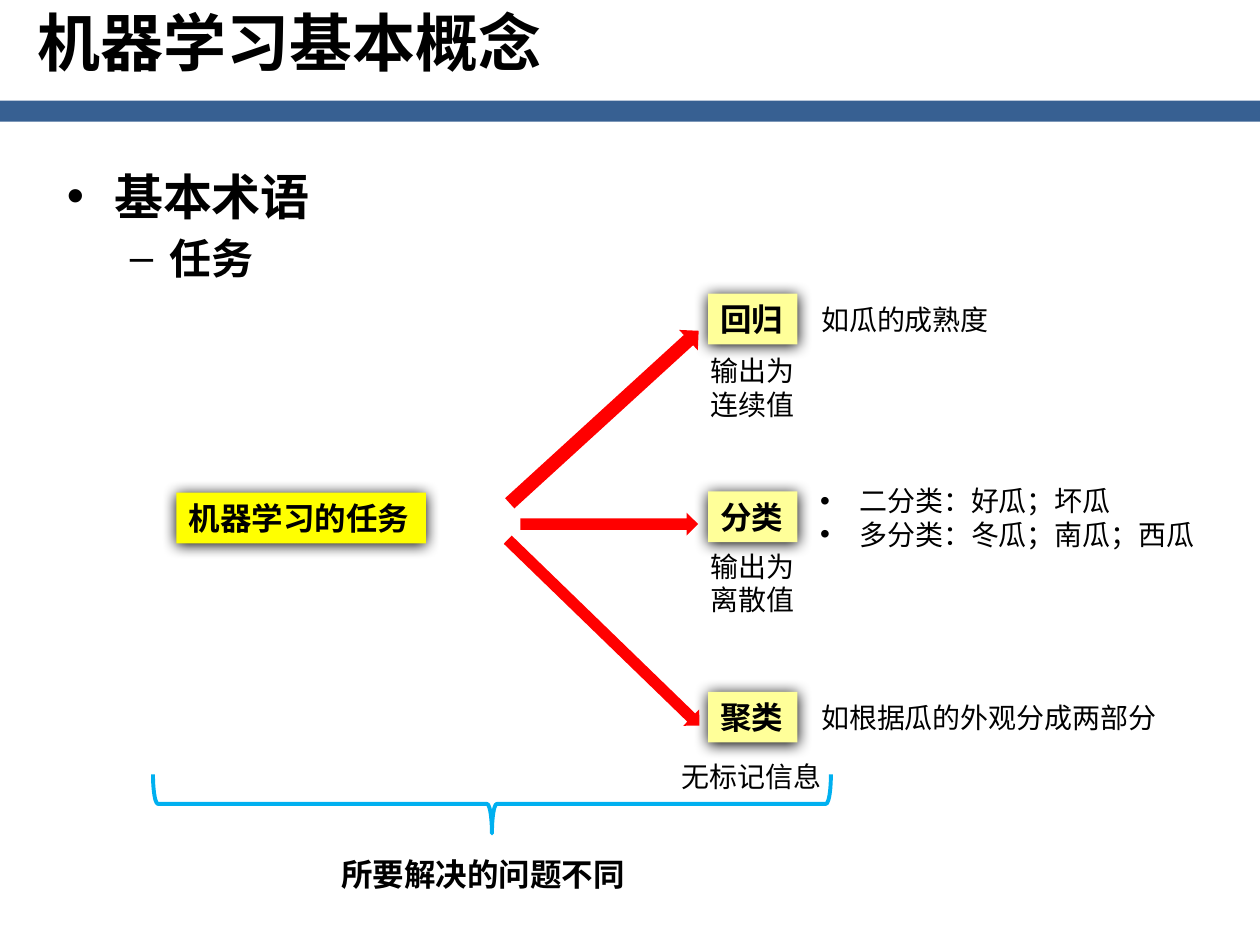
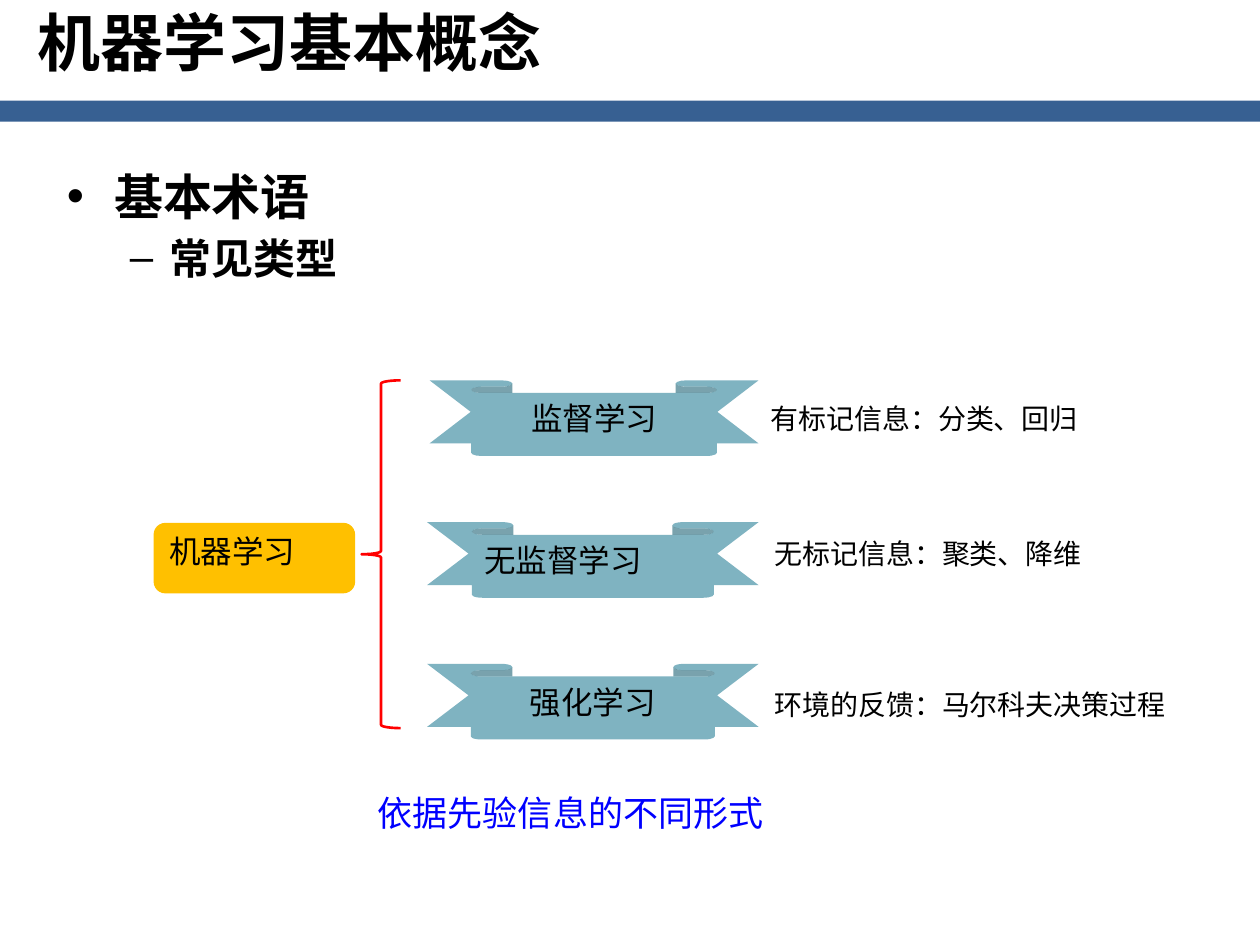
from lxml.etree import SubElement
from pptx import Presentation
from pptx.dml.color import RGBColor
from pptx.enum.shapes import MSO_SHAPE as Shape
from pptx.enum.text import MSO_ANCHOR as Anchor, MSO_AUTO_SIZE as AutoSize, PP_ALIGN as Align
from pptx.oxml.ns import qn
from pptx.util import Pt

# Shared colours and fonts
BLACK = RGBColor(0x00, 0x00, 0x00)
BAND_BLUE = RGBColor(0x37, 0x60, 0x92)
YELLOW = RGBColor(0xFF, 0xFF, 0x00)
PALE_YELLOW = RGBColor(0xFF, 0xFF, 0x99)
RED = RGBColor(0xFF, 0x00, 0x00)
SKY = RGBColor(0x00, 0xB0, 0xF0)
AMBER = RGBColor(0xFF, 0xC0, 0x00)
TEAL = RGBColor(0x31, 0x85, 0x9C)
BLUE = RGBColor(0x00, 0x00, 0xFF)
HEAD_FONT = "Noto Sans CJK SC"
TEXT_FONT = "Calibri"

BULLET_INDENT = Pt(22.5)
LABEL_HEIGHT = 29
LINE_HEIGHT = 26.6
PAIR_HEIGHT = 46


def place(item, left, top, width, height):
    item.left, item.top = Pt(left), Pt(top)
    item.width, item.height = Pt(width), Pt(height)


def write(frame, text, size=16, font=TEXT_FONT, color=BLACK, bold=False,
          align=Align.LEFT, bullet=None):
    """Fill a text frame, one paragraph for each line of text."""
    frame.word_wrap = True
    frame.auto_size = AutoSize.NONE
    frame.vertical_anchor = Anchor.TOP
    for number, line in enumerate(text.split("\n")):
        paragraph = frame.add_paragraph() if number else frame.paragraphs[0]
        paragraph.alignment = align
        if bullet:
            add_bullet(paragraph, bullet)
        run = paragraph.add_run()
        run.text = line
        style = run.font
        style.size, style.bold, style.name = Pt(size), bold, font
        style.color.rgb = color
        SubElement(run.font._element, qn("a:ea"), typeface=font)


def add_bullet(paragraph, char):
    properties = paragraph._p.get_or_add_pPr()
    properties.set("marL", str(BULLET_INDENT))
    properties.set("indent", str(-BULLET_INDENT))
    SubElement(properties, qn("a:buFont"), typeface="Arial")
    SubElement(properties, qn("a:buChar"), char=char)


def add_label(slide, text, left, top, width, height=LINE_HEIGHT, **style):
    label = slide.shapes.add_textbox(Pt(left), Pt(top), Pt(width), Pt(height))
    write(label.text_frame, text, **style)


def add_block(slide, kind, left, top, width, height, fill, rotation=0):
    block = slide.shapes.add_shape(kind, Pt(left), Pt(top), Pt(width), Pt(height))
    block.shadow.inherit = False
    block.fill.solid()
    block.fill.fore_color.rgb = fill
    block.line.fill.background()
    block.rotation = rotation
    return block


def add_glowing_box(slide, text, left, top, width, fill):
    box = add_block(slide, Shape.RECTANGLE, left, top, width, LABEL_HEIGHT, fill)
    effects = box.element.spPr.find(qn("a:effectLst"))
    shadow = SubElement(effects, qn("a:outerShdw"), blurRad=str(Pt(8.5)),
                        dist=str(Pt(1)), dir="5400000", rotWithShape="0")
    SubElement(shadow, qn("a:srgbClr"), val=str(BLACK))
    write(box.text_frame, text, size=18, bold=True)


def add_brace(slide, kind, left, top, width, height, color, weight, rotation=0):
    brace = add_block(slide, kind, left, top, width, height, color, rotation)
    brace.fill.background()
    brace.line.color.rgb = color
    brace.line.width = Pt(weight)


def add_ribbon(slide, text, left, top, width, centre_share, align):
    ribbon = add_block(slide, Shape.DOWN_RIBBON, left, top, width, 43.2, TEAL)
    ribbon.adjustments[0] = 0.167
    ribbon.adjustments[1] = centre_share
    teal = ribbon.element.spPr.find(qn("a:solidFill"))[0]
    SubElement(teal, qn("a:alpha"), val="62000")
    write(ribbon.text_frame, text, size=18, align=align)


def add_layout_band(deck, layout):
    """Put the blue band on the layout, so that every slide shows it."""
    helper = deck.slides[0]
    band = add_block(helper, Shape.RECTANGLE, 0, 57.5, 720, 12, BAND_BLUE)
    layout.shapes.element.append(band.element)


def add_topic_slide(deck, layout, subtopic):
    slide = deck.slides.add_slide(layout)
    title, outline = slide.placeholders
    place(title, 14.4, 2.2, 612, 39.6)
    write(title.text_frame, "机器学习基本概念", size=36, font=HEAD_FONT, bold=True)
    title.text_frame.margin_top = title.text_frame.margin_bottom = 0

    place(outline, 31, 88.5, 657, 414)
    write(outline.text_frame, f"基本术语\n{subtopic}", size=28, font=HEAD_FONT, bold=True)
    term, detail = outline.text_frame.paragraphs
    term.space_before, term.line_spacing = Pt(0), Pt(36.5)
    detail.level = 1
    detail.space_before, detail.line_spacing = Pt(4.8), Pt(28)
    detail.runs[0].font.size = Pt(24)
    return slide


def draw_tasks(slide):
    add_glowing_box(slide, "机器学习的任务", 100.8, 281.5, 142.6, YELLOW)

    # Task kinds
    for task, top in (("回归", 167.8), ("分类", 280.8), ("聚类", 395.3)):
        add_glowing_box(slide, task, 404.6, top, 51.1, PALE_YELLOW)

    # Arrows from the root to each kind
    for left, top, length, thickness, angle in (
        (272.2, 230.4, 146.2, 15.8, 317.6),
        (297.4, 293, 101.5, 13, 0),
        (268.6, 355, 152.6, 13, 44.1),
    ):
        add_block(slide, Shape.RIGHT_ARROW, left, top, length, thickness, RED, angle)

    # Examples on the right, outputs below
    add_label(slide, "如瓜的成熟度", 462.2, 169.2, 111.6)
    add_label(slide, "二分类：好瓜；坏瓜\n多分类：冬瓜；南瓜；西瓜",
              461.5, 272.9, 231.1, PAIR_HEIGHT, bullet="•")
    add_label(slide, "如根据瓜的外观分成两部分", 462.2, 396.7, 208.1)
    add_label(slide, "输出为\n连续值", 398.9, 198.7, 63.4, PAIR_HEIGHT)
    add_label(slide, "输出为\n离散值", 398.9, 310.3, 63.4, PAIR_HEIGHT)
    add_label(slide, "无标记信息", 382.3, 430.6, 95)

    # Conclusion
    add_brace(slide, Shape.RIGHT_BRACE, 264.2, 265.7, 33.8, 387.4, SKY, 2.25, 90)
    add_label(slide, "所要解决的问题不同", 187.9, 485.3, 179.3, LABEL_HEIGHT,
              size=18, bold=True)


def draw_learning_types(slide):
    root = add_block(slide, Shape.ROUNDED_RECTANGLE, 87.8, 298.8, 115.2, 40.3, AMBER)
    write(root.text_frame, "机器学习", size=18)
    add_brace(slide, Shape.LEFT_BRACE, 206.6, 217.4, 22.3, 198.7, RED, 1.5)

    # Learning types in equal steps
    for row, (name, left, width, centre_share, align) in enumerate((
        ("监督学习", 245.5, 187.9, 0.747, Align.CENTER),
        ("无监督学习", 244.1, 189.4, 0.73, Align.LEFT),
        ("强化学习", 244.1, 189.4, 0.736, Align.CENTER),
    )):
        add_ribbon(slide, name, left, 217.4 + 81 * row, width, centre_share, align)

    # Prior information of each type
    add_label(slide, "有标记信息：分类、回归", 433.4, 226.1, 192.2)
    add_label(slide, "无标记信息：聚类、降维", 435.6, 303.1, 192.2)
    add_label(slide, "环境的反馈：马尔科夫决策过程", 435.6, 389.5, 240.5)
    add_label(slide, "依据先验信息的不同形式", 208.8, 448.6, 236.9, 31.7,
              size=20, color=BLUE)


def main():
    deck = Presentation()
    deck.slide_width, deck.slide_height = Pt(720), Pt(540)
    layout = deck.slide_layouts[1]
    draw_tasks(add_topic_slide(deck, layout, "任务"))
    draw_learning_types(add_topic_slide(deck, layout, "常见类型"))
    add_layout_band(deck, layout)
    deck.save("out.pptx")


if __name__ == "__main__":
    main()
